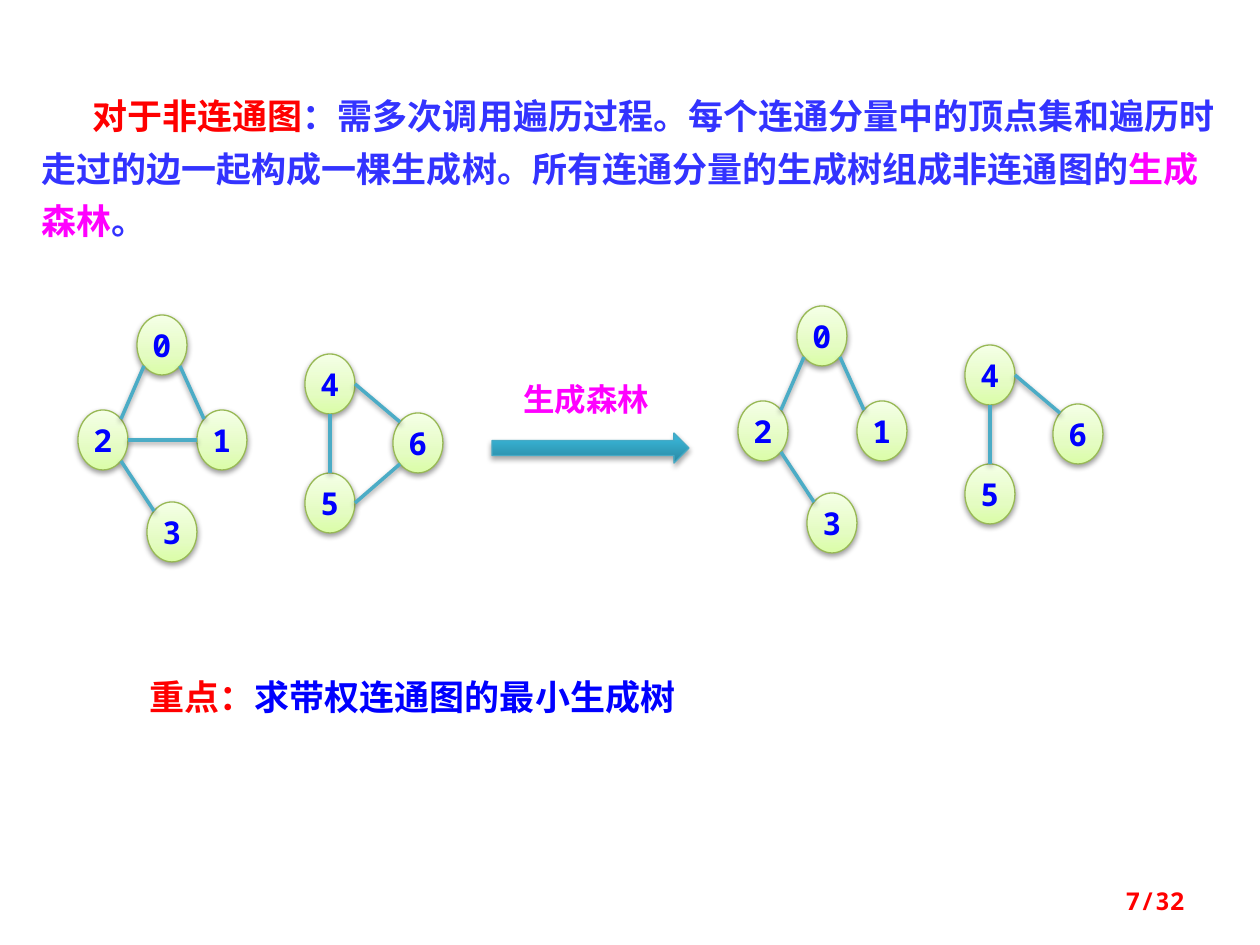
import copy
import pptx
import pptx.dml.color
import pptx.enum.shapes
import pptx.enum.text
import pptx.oxml
import pptx.oxml.ns
import pptx.util

RGB = pptx.dml.color.RGBColor
RED = RGB(0xFF, 0x00, 0x00)
BLUE = RGB(0x00, 0x00, 0xFF)
INDIGO = RGB(0x33, 0x33, 0xFF)
PINK = RGB(0xFF, 0x00, 0xFF)
EDGE = RGB(0x4B, 0xAC, 0xC6)
LIME = [(0, RGB(0xDA, 0xFD, 0xA7)), (0.35, RGB(0xE4, 0xFC, 0xC2)), (1, RGB(0xF5, 0xFF, 0xE7))]
TEAL = [(0, RGB(0x2A, 0x88, 0xA2)), (0.8, RGB(0x37, 0xB1, 0xD2)), (1, RGB(0x34, 0xB4, 0xD6))]
RIM = RGB(0x98, 0xB9, 0x55)
RIB = RGB(0x46, 0xAA, 0xC5)

PX = 914400 // 126
FONT = "Noto Sans Mono"
ALIGN = pptx.enum.text.PP_ALIGN
MID = pptx.enum.text.MSO_ANCHOR.MIDDLE
SHAPE = pptx.enum.shapes.MSO_SHAPE
LINE = pptx.enum.shapes.MSO_CONNECTOR.STRAIGHT
qn = pptx.oxml.ns.qn


def write(box, runs, size, align=ALIGN.LEFT, **form):
    for key, val in {"word_wrap": True, **form}.items():
        setattr(box.text_frame, key, val)
    para = box.text_frame.paragraphs[0]
    para.alignment = align
    for text, color in runs:
        run = para.add_run()
        run.text = text
        look = {"name": FONT, "size": pptx.util.Pt(size), "bold": True}
        for key, val in look.items():
            setattr(run.font, key, val)
        run.font.color.rgb = color
        face = copy.deepcopy(run.font._element.find(qn("a:latin")))
        face.tag = qn("a:ea")
        run.font._element.append(face)
    return para


def finish(item, rim, width, alpha, dist, stops=None):
    props = item._element.spPr
    if stops:
        item.fill.gradient()
        item.fill.gradient_angle = 90
        ramp = props.find(".//" + qn("a:gsLst"))
        ramp.append(copy.deepcopy(ramp[-1]))
        for stop, (place, color) in zip(item.fill.gradient_stops, stops):
            stop.position = place
            stop.color.rgb = color
    item.line.color.rgb = rim
    item.line.width = pptx.util.Pt(width)
    props.append(pptx.oxml.parse_xml(
        f'<a:effectLst {pptx.oxml.ns.nsdecls("a")}>'
        f'<a:outerShdw blurRad="40000" dist="{dist}" dir="5400000" rotWithShape="0">'
        f'<a:srgbClr val="000000"><a:alpha val="{alpha}"/></a:srgbClr>'
        '</a:outerShdw></a:effectLst>'))


deck = pptx.Presentation()
deck.slide_width = pptx.util.Inches(10)
deck.slide_height = pptx.util.Inches(7.5)
slide = deck.slides.add_slide(deck.slide_layouts[6])

body = slide.shapes.add_textbox(29 * PX, 78 * PX, 1201 * PX, 168 * PX)
para = write(body, [
    ("对于非连通图", RED),
    ("：需多次调用遍历过程。每个连通分量中的顶点集和遍历时走过的边一起构成一棵生成树。所有连通分量的生成树组成非连通图的", INDIGO),
    ("生成森林", PINK),
    ("。", INDIGO),
], 20)
para.line_spacing = pptx.util.Pt(30)
para._p.get_or_add_pPr().set("indent", str(51 * PX))

key = slide.shapes.add_textbox(137 * PX, 669 * PX, 728 * PX, 55 * PX)
write(key, [("重点：", RED), ("求带权连通图的最小生成树", BLUE)], 20)

WIDE, HIGH = 50, 60
NODES = [(137, 315), (197, 410), (78, 410), (147, 502), (305, 354), (305, 473), (393, 413)]
SIDES = {"n": (25, 0), "s": (25, 60), "w": (0, 30), "e": (50, 30),
         "nw": (7, 9), "ne": (43, 9), "sw": (7, 51), "se": (43, 51)}
TREE = [(0, "sw", 2, "ne"), (2, "se", 3, "nw"), (0, "se", 1, "nw"),
        (4, "s", 5, "n"), (4, "e", 6, "nw")]
LOOPS = [(2, "e", 1, "w"), (6, "sw", 5, "e")]

for dx, dy, edges in [(0, 0, TREE + LOOPS), (660, -9, TREE)]:
    group = slide.shapes.add_group_shape()
    for num, (x, y) in enumerate(NODES):
        node = group.shapes.add_shape(
            SHAPE.OVAL, (x + dx) * PX, (y + dy) * PX, WIDE * PX, HIGH * PX)
        finish(node, RIM, 0.75, 38000, 20000, LIME)
        write(node, [(str(num), BLUE)], 18, ALIGN.CENTER, word_wrap=False, vertical_anchor=MID)
    for start, out, end, into in edges:
        ends = []
        for num, side in [(start, out), (end, into)]:
            x, y = NODES[num]
            sx, sy = SIDES[side]
            ends += [(x + dx + sx) * PX, (y + dy + sy) * PX]
        edge = group.shapes.add_connector(LINE, *ends)
        finish(edge, EDGE, 2, 38000, 20000)

arrow = group.shapes.add_shape(SHAPE.RIGHT_ARROW, 492 * PX, 433 * PX, 197 * PX, 30 * PX)
finish(arrow, RIB, 0.75, 35000, 23000, TEAL)
label = group.shapes.add_textbox(473 * PX, 374 * PX, 227 * PX, 50 * PX)
write(label, [("生成森林", PINK)], 18, ALIGN.CENTER)

page = slide.shapes.add_textbox(903 * PX, 876 * PX, 294 * PX, 50 * PX)
write(page, [("7/32", RED)], 14, ALIGN.RIGHT, vertical_anchor=MID)

deck.save("out.pptx")
